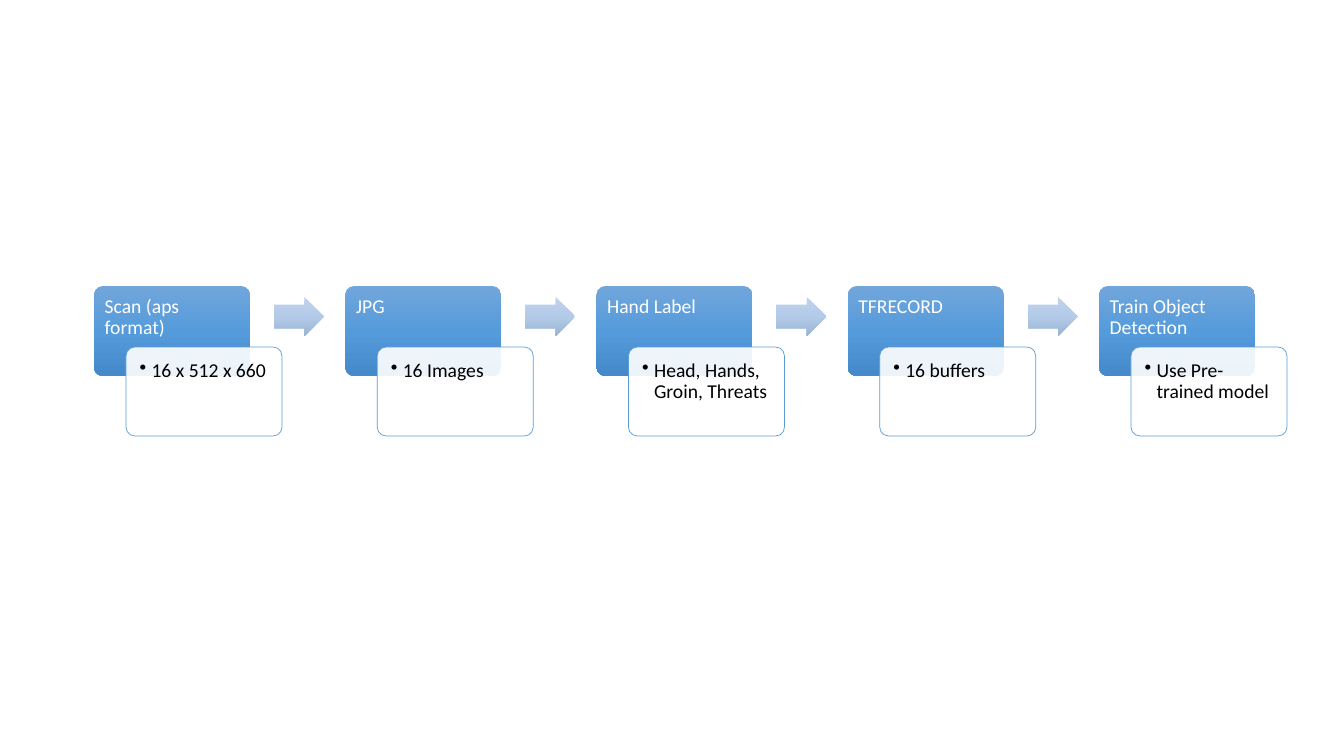
from pptx import Presentation
from pptx.dml.color import RGBColor
from pptx.enum.shapes import MSO_SHAPE
from pptx.enum.text import MSO_ANCHOR, PP_ALIGN
from pptx.oxml.ns import qn
from pptx.oxml.xmlchemy import OxmlElement
from pptx.util import Emu, Pt

STEPS = [
    ("Scan (aps format)", "16 x 512 x 660"),
    ("JPG", "16 Images"),
    ("Hand Label", "Head, Hands, Groin, Threats"),
    ("TFRECORD", "16 buffers"),
    ("Train Object Detection", "Use Pre-trained model"),
]
HEADING_GRADIENT = ["71A6DB", "559BDB", "448ACA"]
ARROW_GRADIENT = ["C0D2EB", "B3CBE9", "9BB4D3"]

SLIDE_SIZE = (1344, 756)
FIRST_LEFT, LAST_LEFT, TOP = 94, 1099, 286
CARD_WIDTH, HEADING_HEIGHT, DETAIL_HEIGHT = 156, 90, 89
DETAIL_DX, DETAIL_DY = 32, 61
ARROW_DX, ARROW_DY, ARROW_WIDTH, ARROW_HEIGHT = 180, 11, 50, 39
BULLET_INDENT = 12


def px(length):
    return Emu(round(length * 914400 / 100.8))


def color(value):
    return RGBColor.from_string(value)


def add_child(parent, tag, **attributes):
    child = OxmlElement(tag)
    for key, value in attributes.items():
        child.set(key, str(value))
    parent.append(child)
    return child


def add_box(kind, left, top, width, height, adjustments):
    box = slide.shapes.add_shape(kind, px(left), px(top), px(width), px(height))
    box.shadow.inherit = False
    box.line.fill.background()
    for index, value in enumerate(adjustments):
        box.adjustments[index] = value
    return box


def fill_gradient(box, colors):
    box.fill.gradient()
    box.fill.gradient_angle = 270
    stops = box._element.spPr.find(qn("a:gradFill")).find(qn("a:gsLst"))
    for stop in list(stops):
        stops.remove(stop)
    for index, value in enumerate(colors):
        stop = add_child(stops, "a:gs", pos=index * 50000)
        add_child(stop, "a:srgbClr", val=value)


def write(box, text, font_color="000000", inset=11, bullet=False):
    frame = box.text_frame
    frame.word_wrap = True
    frame.vertical_anchor = MSO_ANCHOR.TOP
    frame.margin_left = frame.margin_right = px(inset)
    frame.margin_top = frame.margin_bottom = px(inset)
    paragraph = frame.paragraphs[0]
    paragraph.alignment = PP_ALIGN.LEFT
    paragraph.line_spacing = 0.9
    run = paragraph.add_run()
    run.text = text
    run.font.name = "Calibri"
    run.font.size = Pt(14)
    run.font.color.rgb = color(font_color)
    if bullet:
        properties = paragraph._p.get_or_add_pPr()
        properties.set("marL", str(px(BULLET_INDENT)))
        properties.set("indent", str(-px(BULLET_INDENT)))
        add_child(properties, "a:buChar", char="•")


presentation = Presentation()
presentation.slide_width, presentation.slide_height = map(px, SLIDE_SIZE)
slide = presentation.slides.add_slide(presentation.slide_layouts[6])

pitch = (LAST_LEFT - FIRST_LEFT) / (len(STEPS) - 1)
for number, (title, note) in enumerate(STEPS):
    left = FIRST_LEFT + number * pitch

    heading = add_box(MSO_SHAPE.ROUNDED_RECTANGLE, left, TOP,
                      CARD_WIDTH, HEADING_HEIGHT, [0.1])
    fill_gradient(heading, HEADING_GRADIENT)
    write(heading, title, font_color="FFFFFF", inset=8)

    detail = add_box(MSO_SHAPE.ROUNDED_RECTANGLE, left + DETAIL_DX, TOP + DETAIL_DY,
                     CARD_WIDTH, DETAIL_HEIGHT, [0.1])
    detail.fill.solid()
    detail.fill.fore_color.rgb = color("FFFFFF")
    white = detail._element.spPr.find(qn("a:solidFill")).find(qn("a:srgbClr"))
    add_child(white, "a:alpha", val=90000)
    detail.line.color.rgb = color("5B9BD5")
    detail.line.width = Pt(0.5)
    write(detail, note, bullet=True)

    if number < len(STEPS) - 1:
        arrow = add_box(MSO_SHAPE.RIGHT_ARROW, left + ARROW_DX, TOP + ARROW_DY,
                        ARROW_WIDTH, ARROW_HEIGHT, [0.6, 0.5])
        fill_gradient(arrow, ARROW_GRADIENT)

presentation.save("out.pptx")
